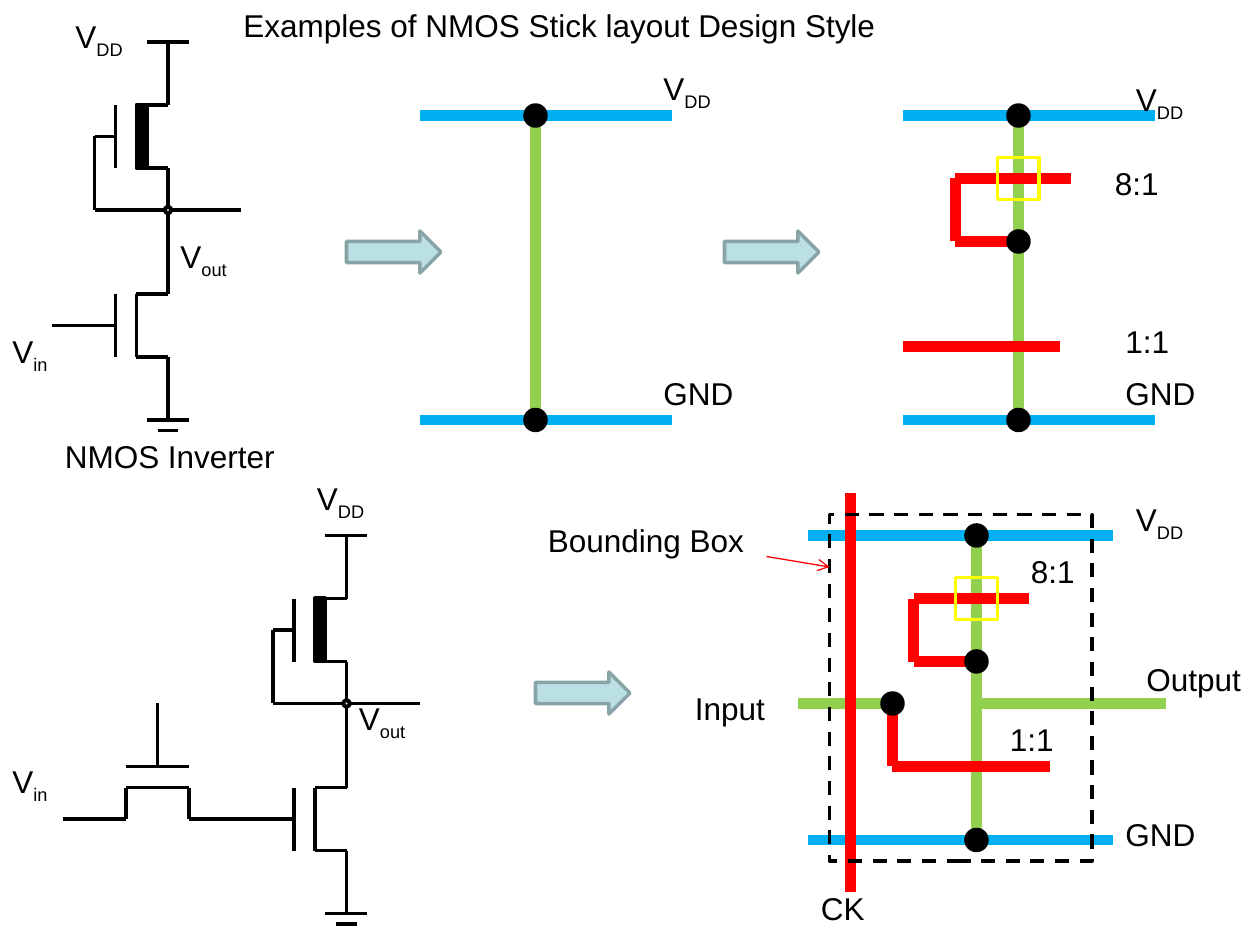
from typing import NamedTuple

from lxml import etree
from pptx import Presentation
from pptx.dml.color import RGBColor
from pptx.enum.dml import MSO_LINE
from pptx.enum.shapes import MSO_CONNECTOR, MSO_SHAPE
from pptx.enum.text import MSO_AUTO_SIZE
from pptx.oxml.ns import qn
from pptx.util import Inches, Pt

STRAIGHT = MSO_CONNECTOR.STRAIGHT
RECTANGLE, OVAL, RIGHT_ARROW = MSO_SHAPE.RECTANGLE, MSO_SHAPE.OVAL, MSO_SHAPE.RIGHT_ARROW
DASH = MSO_LINE.DASH
GROW = MSO_AUTO_SIZE.SHAPE_TO_FIT_TEXT

BLACK = RGBColor(0x00, 0x00, 0x00)
METAL = RGBColor(0x00, 0xB0, 0xF0)
DIFFUSION = RGBColor(0x92, 0xD0, 0x50)
POLY = RGBColor(0xFF, 0x00, 0x00)
IMPLANT = RGBColor(0xFF, 0xFF, 0x00)
PALE = RGBColor(0xBB, 0xE0, 0xE3)
PALE_EDGE = RGBColor(0x89, 0xA4, 0xA7)

COLUMNS, ROWS = 120, 90
STICK, WIRE, EDGE = 6, 2.25, 2  # line widths in points
RAIL_GAP = 29  # rows between the supply and ground rails

deck = Presentation()
deck.slide_width, deck.slide_height = Inches(10), Inches(7.5)
page = deck.slides.add_slide(deck.slide_layouts[6])


class Segment(NamedTuple):
    x1: float
    y1: float
    x2: float
    y2: float


class Label(NamedTuple):
    text: str
    column: float
    row: float
    width: float = 13
    subscript: str = ""


# Both circuits, measured from the middle of their supply bar
INVERTER_WIRES = [
    Segment(-2, 0, 2, 0), Segment(0, 0, 0, 6),  # supply
    Segment(-5, 6, -5, 12), Segment(-3, 6, 0, 6), Segment(-3, 12, 0, 12),  # load
    Segment(-7, 9, -5, 9), Segment(-7, 9, -7, 16), Segment(-7, 16, 7, 16),  # feedback
    Segment(0, 12, 0, 24),
    Segment(-5, 24, -5, 30), Segment(-3, 24, -3, 30),  # driver
    Segment(-3, 24, 0, 24), Segment(-3, 30, 0, 30), Segment(-11, 27, -5, 27),
    Segment(0, 30, 0, 36), Segment(-2, 36, 2, 36), Segment(-1, 37, 1, 37),  # ground
]
# Measured from the middle of the gate
PASS_WIRES = [
    Segment(0, -6, 0, 0), Segment(-3, 0, 3, 0), Segment(-3, 2, 3, 2),
    Segment(-3, 2, -3, 5), Segment(3, 2, 3, 5),
    Segment(-9, 5, -3, 5), Segment(3, 5, 9, 5),
]
LOAD_GATE = [Segment(-6, 6, 5, 6), Segment(-6, 12, -6, 6), Segment(0, 12, -6, 12)]

LABELS = [
    Label("Examples of NMOS Stick layout Design Style", 22, 0, 74),
    Label("NMOS Inverter", 5, 41, 24),
    Label("V", 6, 1, subscript="DD"),
    Label("V", 0, 31, subscript="in"),
    Label("V", 16, 22, subscript="out"),
    Label("V", 62, 6, 9, "DD"),
    Label("GND", 62, 35, 11),
    Label("V", 107, 7, 9, "DD"),
    Label("8:1", 105, 15, 9),
    Label("1:1", 106, 30.1, 9),
    Label("GND", 106, 35, 11),
    Label("V", 29, 45, subscript="DD"),
    Label("V", 0, 72, subscript="in"),
    Label("V", 33, 66, subscript="out"),
    Label("Bounding Box", 51, 49, 29),
    Label("V", 107, 47, 9, "DD"),
    Label("8:1", 97, 52, 9),
    Label("1:1", 95, 68, 9),
    Label("GND", 106, 77, 11),
    Label("Input", 65, 65),
    Label("Output", 108, 62.3),
    Label("CK", 77, 84.1),
]


def across(columns: float) -> int:
    return round(deck.slide_width * columns / COLUMNS)


def down(rows: float) -> int:
    return round(deck.slide_height * rows / ROWS)


def draw_line(segment: Segment, color: RGBColor, width: float, arrow: bool = False) -> None:
    line = page.shapes.add_connector(STRAIGHT, across(segment.x1), down(segment.y1),
                                     across(segment.x2), down(segment.y2))
    line.line.color.rgb = color
    line.line.width = Pt(width)
    if arrow:
        outline = line.line._get_or_add_ln()
        etree.SubElement(outline, qn("a:tailEnd"), type="arrow")
    etree.SubElement(line._element.spPr, qn("a:effectLst"))


def draw_lines(segments: list[Segment], x: float, y: float, color: RGBColor, width: float) -> None:
    """Draw segments given relative to the grid point x, y."""
    for part in segments:
        draw_line(Segment(x + part.x1, y + part.y1, x + part.x2, y + part.y2), color, width)


def draw_shape(kind: int, x: float, y: float, width: float, height: float, *,
               fill: RGBColor | None = None, edge: RGBColor = BLACK,
               edge_width: float = EDGE, dashed: bool = False) -> None:
    shape = page.shapes.add_shape(kind, across(x), down(y), across(width), down(height))
    shape.shadow.inherit = False
    if fill is None:
        shape.fill.background()
    else:
        shape.fill.solid()
        shape.fill.fore_color.rgb = fill
    shape.line.color.rgb = edge
    shape.line.width = Pt(edge_width)
    if dashed:
        shape.line.dash_style = DASH


def draw_contact(x: float, y: float) -> None:
    draw_shape(OVAL, x - 1, y - 1, 2, 2, fill=BLACK)


def draw_step_arrow(x: float, y: float) -> None:
    draw_shape(RIGHT_ARROW, x, y, 9, 4, fill=PALE, edge=PALE_EDGE)


def draw_text(text: str, x: float, y: float, width: float, *, subscript: str = "",
              size: float = 18, color: RGBColor = BLACK, font: str = "Arial") -> None:
    height = 5.3 if subscript else 4.8
    box = page.shapes.add_textbox(across(x), down(y), across(width), down(height))
    box.text_frame.word_wrap = True
    box.text_frame.auto_size = GROW
    para = box.text_frame.paragraphs[0]
    for part in filter(None, (text, subscript)):
        span = para.add_run()
        span.text = part
        span.font.size, span.font.name = Pt(size), font
        span.font.color.rgb = color
    if subscript:
        span.font._element.set("baseline", "-25000")


def draw_inverter(x: float, y: float) -> None:
    draw_lines(INVERTER_WIRES, x, y, BLACK, WIRE)
    draw_shape(OVAL, x - 0.3, y + 15.7, 0.6, 0.6, fill=PALE, edge_width=WIRE)
    draw_shape(RECTANGLE, x - 3, y + 6, 1, 6, fill=BLACK, edge_width=WIRE)


def draw_rails(x: float, y: float, left: float = 11) -> None:
    """Draw both metal rails, the diffusion stick at x, and their contacts."""
    rails = [Segment(-left, row, 13, row) for row in (0, RAIL_GAP)]
    draw_lines(rails, x, y, METAL, STICK)
    draw_lines([Segment(0, RAIL_GAP, 0, 0)], x, y, DIFFUSION, STICK)
    for row in (0, RAIL_GAP):
        draw_contact(x, y + row)


def draw_gates(x: float, y: float, driver_left: float) -> None:
    """Draw the load gate with its implant, and the driver gate."""
    driver = Segment(driver_left, 22, driver_left + 15, 22)
    draw_lines([*LOAD_GATE, driver], x, y, POLY, STICK)
    draw_contact(x, y + 12)
    draw_shape(RECTANGLE, x - 2, y + 4, 4, 4, edge=IMPLANT, edge_width=WIRE)


draw_inverter(16, 4)
draw_inverter(33, 51)
draw_lines(PASS_WIRES, 15, 73, BLACK, WIRE)

draw_rails(51, 11)
draw_rails(97, 11)
draw_gates(97, 11, -11)
draw_rails(93, 51, left=16)
draw_gates(93, 51, -8)

draw_line(Segment(85, 73, 85, 67), POLY, STICK)
draw_line(Segment(85, 67, 76, 67), DIFFUSION, STICK)
draw_line(Segment(81, 85, 81, 47), POLY, STICK)
draw_contact(85, 67)
draw_line(Segment(111, 67, 93, 67), DIFFUSION, STICK)
draw_shape(RECTANGLE, 79, 49, 25, 33, dashed=True)
draw_line(Segment(73, 53, 79, 54), POLY, 0.75, arrow=True)

for column, row in ((33, 22), (69, 22), (51, 64)):
    draw_step_arrow(column, row)
for label in LABELS:
    draw_text(label.text, label.column, label.row, label.width, subscript=label.subscript)

deck.save("out.pptx")
